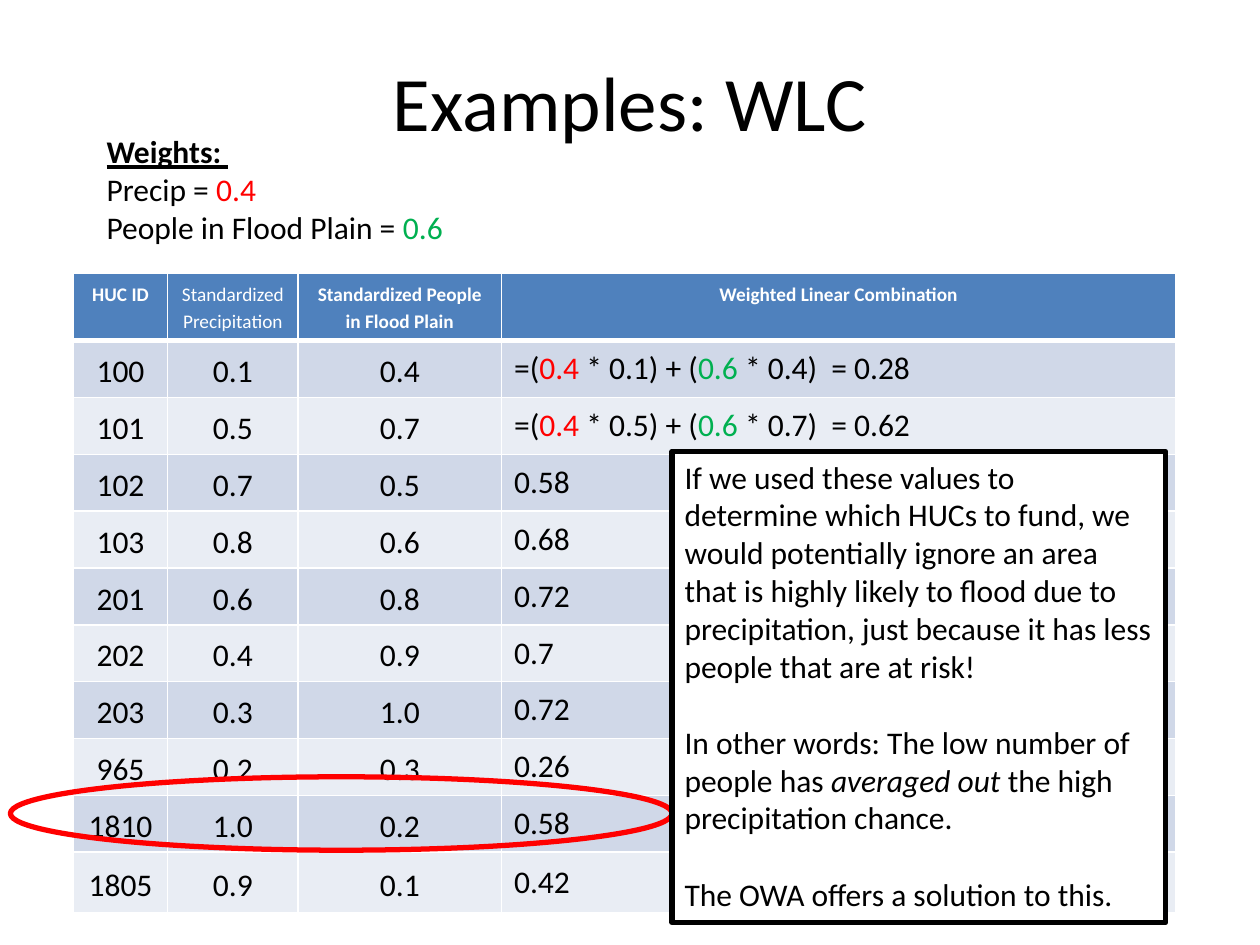
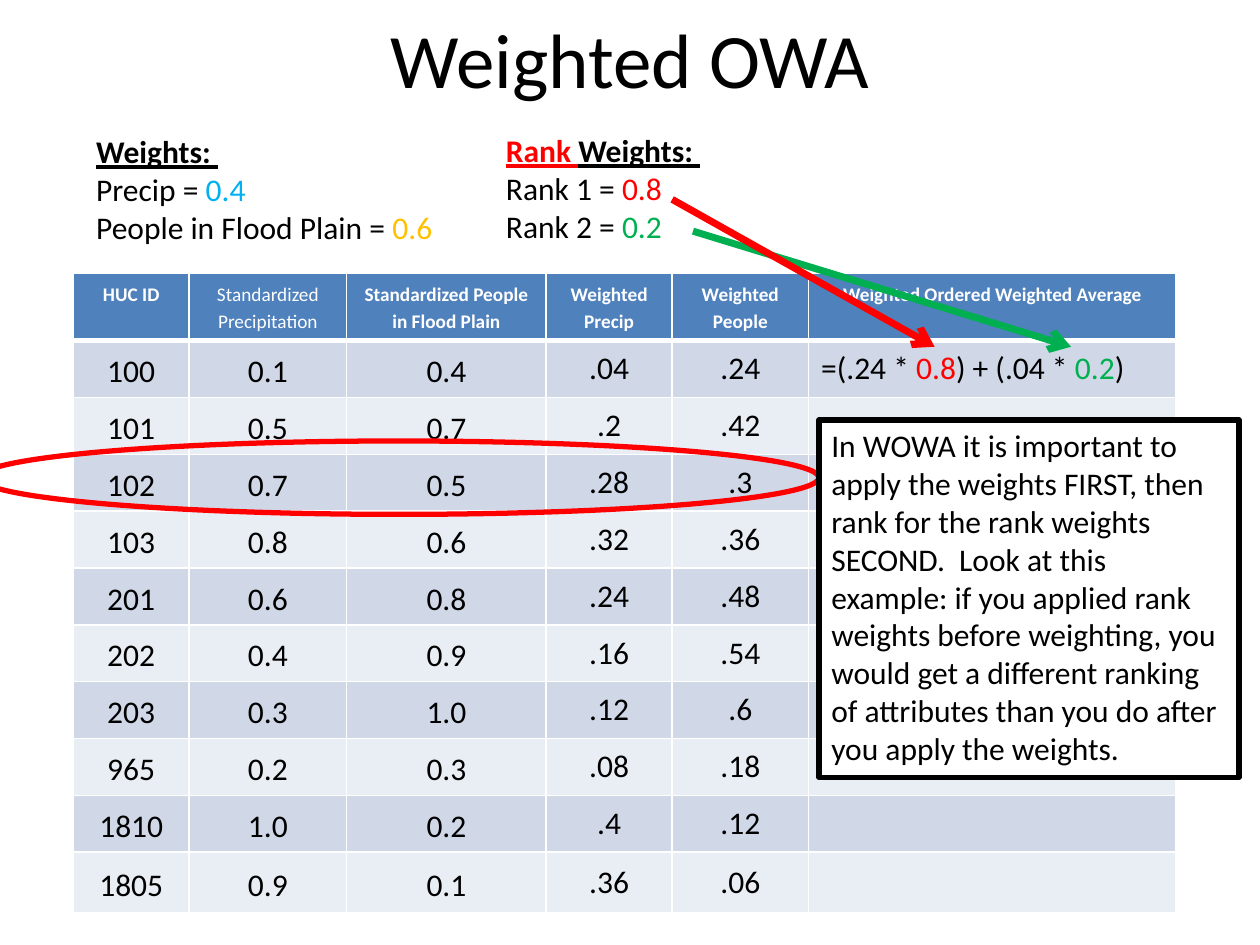
from lxml import etree
from pptx import Presentation
from pptx.dml.color import RGBColor
from pptx.enum.shapes import MSO_CONNECTOR, MSO_SHAPE
from pptx.enum.text import MSO_ANCHOR, PP_ALIGN
from pptx.oxml.ns import qn
from pptx.util import Cm, Pt

LEFT, CENTER = PP_ALIGN.LEFT, PP_ALIGN.CENTER
TOP, MIDDLE = MSO_ANCHOR.TOP, MSO_ANCHOR.MIDDLE
RECT, OVAL = MSO_SHAPE.RECTANGLE, MSO_SHAPE.OVAL
STRAIGHT = MSO_CONNECTOR.STRAIGHT

FONT = "Calibri"
BLACK, WHITE = "000000", "FFFFFF"
RED, GREEN, CYAN, GOLD = "FF0000", "00B050", "00B0F0", "FFC000"
HEADER, BANDS = "4F81BD", ("D0D8E8", "E9EDF4")
TITLE_ONLY = 5

TABLE_LEFT, TABLE_TOP = 1.48, 5.51
HEADER_HEIGHT, ROW_HEIGHT, LAST_HEIGHT = 1.33, 1.14, 1.22
HEADINGS = ["HUC ID", "Standardized Precipitation",
            "Standardized People in Flood Plain"]
HUCS = [("100", "0.1", "0.4"), ("101", "0.5", "0.7"), ("102", "0.7", "0.5"),
        ("103", "0.8", "0.6"), ("201", "0.6", "0.8"), ("202", "0.4", "0.9"),
        ("203", "0.3", "1.0"), ("965", "0.2", "0.3"), ("1810", "1.0", "0.2"),
        ("1805", "0.9", "0.1")]
WEIGHTED_PRECIP = [".04", ".2", ".28", ".32", ".24", ".16", ".12", ".08", ".4", ".36"]
WEIGHTED_PEOPLE = [".24", ".42", ".3", ".36", ".48", ".54", ".6", ".18", ".12", ".06"]
WLC_SCORES = ["0.58", "0.68", "0.72", "0.7", "0.72", "0.26", "0.58", "0.42"]


def rgb(color):
    return RGBColor.from_string(color)


def write(tf, paragraphs, size=18, color=BLACK, bold=False, align=LEFT,
          before=0, after=0, spacing=None):
    """Fill a text frame; each paragraph is a string or a list of
    strings and (text, format) runs."""
    tf.word_wrap = True
    for i, runs in enumerate(paragraphs):
        p = tf.paragraphs[0] if i == 0 else tf.add_paragraph()
        p.alignment = align
        if i and before:
            p.space_before = Pt(before)
        if after:
            p.space_after = Pt(after)
        if spacing:
            p.line_spacing = spacing
        for run in [runs] if isinstance(runs, str) else runs:
            text, style = (run, {}) if isinstance(run, str) else run
            r = p.add_run()
            r.text = text
            r.font.name, r.font.size = FONT, Pt(size)
            r.font.bold = style.get("bold", bold)
            r.font.italic = style.get("italic")
            r.font.underline = style.get("underline")
            r.font.color.rgb = rgb(style.get("color", color))


def colored(text, color):
    return text, {"color": color}


def heading(text, color=BLACK):
    return text, {"bold": True, "underline": True, "color": color}


def add_titled_slide(prs, title, top):
    slide = prs.slides.add_slide(prs.slide_layouts[TITLE_ONLY])
    sp = slide.shapes.title
    sp.left, sp.top, sp.width, sp.height = Cm(1.27), Cm(top), Cm(22.86), Cm(3.18)
    sp.text_frame.vertical_anchor = MIDDLE
    write(sp.text_frame, [title], size=44, align=CENTER)
    return slide


def add_weights(slide, left, top, paragraphs):
    sp = slide.shapes.add_textbox(Cm(left), Cm(top), Cm(9.09), Cm(2.57))
    write(sp.text_frame, paragraphs)


def set_borders(cell, **widths):
    tcPr = cell._tc.get_or_add_tcPr()
    for side in "LRTB":
        ln = etree.SubElement(tcPr, qn(f"a:ln{side}"),
                              w=str(Pt(widths.get(side, 1))))
        fill = etree.SubElement(ln, qn("a:solidFill"))
        etree.SubElement(fill, qn("a:srgbClr"), val=WHITE)


def add_huc_table(slide, widths, headings, columns, column_align):
    """Draw the shared HUC columns followed by the slide's own columns."""
    heights = [HEADER_HEIGHT] + [ROW_HEIGHT] * (len(HUCS) - 1) + [LAST_HEIGHT]
    table = slide.shapes.add_table(
        len(heights), len(widths), Cm(TABLE_LEFT), Cm(TABLE_TOP),
        Cm(sum(widths)), Cm(sum(heights))).table
    for column, width in zip(table.columns, widths):
        column.width = Cm(width)
    for row, height in zip(table.rows, heights):
        row.height = Cm(height)

    for c, text in enumerate(HEADINGS + headings):
        cell = table.cell(0, c)
        set_borders(cell, B=3)
        cell.fill.solid()
        cell.fill.fore_color.rgb = rgb(HEADER)
        write(cell.text_frame, [text], size=11, color=WHITE, bold=c != 1,
              align=CENTER, after=10, spacing=1.15)

    for i, (huc, *extra) in enumerate(zip(HUCS, *columns)):
        for c, content in enumerate([*huc, *extra]):
            cell = table.cell(i + 1, c)
            set_borders(cell, T=1 if i else 3)
            cell.fill.solid()
            cell.fill.fore_color.rgb = rgb(BANDS[i % 2])
            cell.vertical_anchor = MIDDLE
            if not content:
                continue
            if c < len(huc):
                write(cell.text_frame, [content], align=CENTER, after=10,
                      spacing=1.15)
            else:
                write(cell.text_frame, [content],
                      align=column_align[c - len(huc)])


def add_outlined(slide, kind, box, color, width):
    sp = slide.shapes.add_shape(kind, *map(Cm, box))
    sp.shadow.inherit = False
    sp.line.color.rgb = rgb(color)
    sp.line.width = Pt(width)
    return sp


def add_highlight(slide, *box):
    add_outlined(slide, OVAL, box, RED, 3).fill.background()


def add_callout(slide, box, paragraphs):
    sp = add_outlined(slide, RECT, box, BLACK, 3)
    sp.fill.solid()
    sp.fill.fore_color.rgb = rgb(WHITE)
    sp.text_frame.vertical_anchor = TOP
    write(sp.text_frame, paragraphs, before=22)


def add_arrow(slide, start, end, color):
    line = slide.shapes.add_connector(STRAIGHT, *map(Cm, start + end))
    line.line.color.rgb = rgb(color)
    line.line.width = Pt(4)
    etree.SubElement(line.line._get_or_add_ln(), qn("a:tailEnd"), type="arrow")
    etree.SubElement(line._element.spPr, qn("a:effectLst"))


def wlc_formula(precip, people, score):
    return ["=(", colored("0.4 ", RED), f"* {precip}) + (",
            colored("0.6", GREEN), f" * {people})  = {score}"]


def build_wlc(prs):
    slide = add_titled_slide(prs, "Examples: WLC", 0.43)
    formulas = [wlc_formula("0.1", "0.4", "0.28"),
                wlc_formula("0.5", "0.7", "0.62")]
    add_huc_table(slide, [1.9, 2.63, 4.1, 13.59], ["Weighted Linear Combination"],
                  [formulas + WLC_SCORES], [LEFT])
    add_weights(slide, 1.9, 2.54, [
        [heading("Weights: ")],
        ["Precip = ", colored("0.4", RED)],
        ["People in Flood Plain = ", colored("0.6", GREEN)]])
    add_highlight(slide, 0.21, 15.66, 13.34, 1.48)
    add_callout(slide, (13.55, 9.1, 9.95, 9.5), [
        "If we used these values to determine which HUCs to fund, we would "
        "potentially ignore an area that is highly likely to flood due to "
        "precipitation, just because it has less people that are at risk!",
        ["In other words: The low number of people has ",
         ("averaged out ", {"italic": True}), "the high precipitation chance."],
        "The OWA offers a solution to this."])


def build_wowa(prs):
    slide = add_titled_slide(prs, "Weighted OWA", -0.42)
    formula = ["=(.24 * ", colored("0.8", RED), ") + (.04 * ",
               colored("0.2", GREEN), ")"]
    add_huc_table(slide, [2.33, 3.18, 4.02, 2.54, 2.75, 7.41],
                  ["Weighted Precip", "Weighted People",
                   "Weighted Ordered Weighted Average"],
                  [WEIGHTED_PRECIP, WEIGHTED_PEOPLE,
                   [formula] + [""] * (len(HUCS) - 1)],
                  [CENTER, CENTER, LEFT])
    add_weights(slide, 1.69, 2.54, [
        [heading("Weights: ")],
        ["Precip = ", colored("0.4", CYAN)],
        ["People in Flood Plain = ", colored("0.6", GOLD)]])
    add_weights(slide, 9.95, 2.52, [
        [heading("Rank ", RED), heading("Weights: ")],
        ["Rank 1 = ", colored("0.8", RED)],
        ["Rank 2 = ", colored("0.2", GREEN)]])
    add_arrow(slide, (13.97, 4.66), (21.59, 6.99), GREEN)
    add_arrow(slide, (13.55, 4.02), (18.84, 6.99), RED)
    add_highlight(slide, -0.42, 8.89, 16.93, 1.48)
    add_callout(slide, (16.51, 8.47, 8.47, 7.2), [
        "In WOWA it is important to apply the weights FIRST, then rank for the "
        "rank weights SECOND.  Look at this example: if you applied rank weights "
        "before weighting, you would get a different ranking of attributes than "
        "you do after you apply the weights."])


def main():
    prs = Presentation()
    prs.slide_width, prs.slide_height = Cm(25.4), Cm(19.05)
    build_wlc(prs)
    build_wowa(prs)
    prs.save("out.pptx")


if __name__ == "__main__":
    main()
